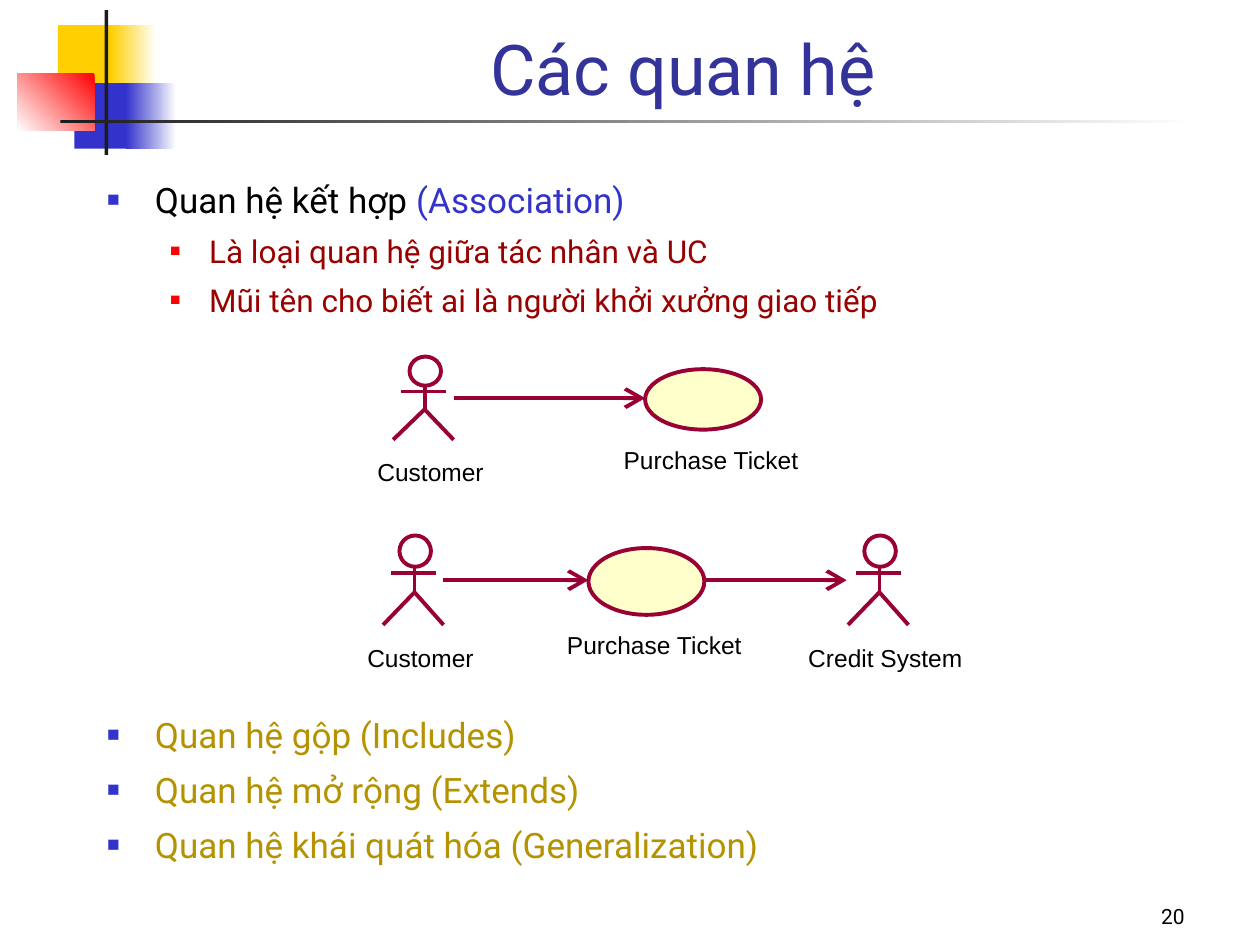
from dataclasses import dataclass

from lxml import etree
from pptx import Presentation
from pptx import util as u
from pptx.dml.color import RGBColor
from pptx.enum import shapes as kinds, text
from pptx.oxml.ns import qn

Inches, Pt = u.Inches, u.Pt


@dataclass(frozen=True)
class Theme:
    font: str = "Roboto"
    label_font: str = "Arial"
    title: str = "333399"
    ink: str = "000000"
    blue: str = "3333CC"
    red: str = "FF0000"
    yellow: str = "FFCF01"
    white: str = "FFFFFF"
    dark: str = "1C1C1C"
    detail: str = "990000"
    pending: str = "B49200"
    outline: str = "990033"
    use_case: str = "FFFFCC"
    title_size: int = 40
    topic_size: int = 20
    detail_size: int = 18
    label_size: int = 14
    number_size: int = 12
    stroke: float = 2.25


THEME = Theme()


def rgb(code):
    return RGBColor.from_string(code)


def set_font(font, name, size, colour):
    font.name, font.size, font.color.rgb = name, Pt(size), rgb(colour)


def place(shape, left, top, width, height):
    shape.left, shape.top = Inches(left), Inches(top)
    shape.width, shape.height = Inches(width), Inches(height)


def band(slide, box, colour, fade=None, angle=0):
    """Borderless rectangle, solid or fading from colour to fade."""
    shape = slide.shapes.add_shape(kinds.MSO_SHAPE.RECTANGLE, *map(Inches, box))
    shape.shadow.inherit = False
    shape.line.fill.background()
    if fade is None:
        shape.fill.solid()
        shape.fill.fore_color.rgb = rgb(colour)
        return
    shape.fill.gradient()
    shape.fill.gradient_angle = angle
    for stop, code in zip(shape.fill.gradient_stops, (colour, fade)):
        stop.color.rgb = rgb(code)


def ornament(slide, left, top):
    def part(x, y, width, height, *fill):
        band(slide, (left + x, top + y, width, height), *fill)

    part(0.32, 0.12, 0.48, 0.52, THEME.yellow)
    part(0.74, 0.12, 0.36, 0.52, THEME.yellow, THEME.white)
    part(0.45, 0.58, 0.46, 0.52, THEME.blue)
    part(0.86, 0.58, 0.4, 0.52, THEME.blue, THEME.white)
    part(0, 0.5, 0.61, 0.46, THEME.red, THEME.white, 225)
    part(0.69, 0, 0.03, 1.15, THEME.dark)
    part(0.34, 0.87, 9, 0.03, THEME.dark, THEME.white)


def heading(slide, wording, box):
    title = slide.shapes.title
    place(title, *box)
    frame = title.text_frame
    frame.auto_size = text.MSO_AUTO_SIZE.NONE
    frame.vertical_anchor = text.MSO_ANCHOR.BOTTOM
    paragraph = frame.paragraphs[0]
    paragraph.text = wording
    paragraph.alignment = text.PP_ALIGN.CENTER
    set_font(paragraph.font, THEME.font, THEME.title_size, THEME.title)


def add_bullet(paragraph, colour, percent, margin, hanging):
    props = paragraph._p.get_or_add_pPr()
    props.set("marL", str(Inches(margin)))
    props.set("indent", str(-Inches(hanging)))
    tint = etree.SubElement(props, qn("a:buClr"))
    etree.SubElement(tint, qn("a:srgbClr"), val=colour)
    etree.SubElement(props, qn("a:buSzPct"), val=str(percent * 1000))
    etree.SubElement(props, qn("a:buFont"), typeface=THEME.label_font)
    etree.SubElement(props, qn("a:buChar"), char="■")


def outline(slide, box, items):
    """Fill the body from (level, colour, space before, wordings) items."""
    body = slide.placeholders[1]
    place(body, *box)
    frame = body.text_frame
    frame.auto_size = text.MSO_AUTO_SIZE.NONE
    for index, (level, colour, before, wordings) in enumerate(items):
        paragraph = frame.add_paragraph() if index else frame.paragraphs[0]
        paragraph.level = level
        if level:
            add_bullet(paragraph, THEME.red, 55, 0.81, 0.31)
        else:
            add_bullet(paragraph, THEME.blue, 60, 0.38, 0.38)
        paragraph.line_spacing = 1.1
        paragraph.space_before = Pt(before)
        size = THEME.detail_size if level else THEME.topic_size
        set_font(paragraph.font, THEME.font, size, colour)
        for wording in wordings:
            paragraph.add_run().text = wording
    accent = frame.paragraphs[0].runs[1]
    accent.font.color.rgb = rgb(THEME.blue)


def stroke(shape):
    shape.line.color.rgb = rgb(THEME.outline)
    shape.line.width = Pt(THEME.stroke)


def segment(group, x1, y1, x2, y2, arrow=False):
    line = group.shapes.add_connector(
        kinds.MSO_CONNECTOR.STRAIGHT, *map(Inches, (x1, y1, x2, y2)))
    stroke(line)
    etree.SubElement(line._element.spPr, qn("a:effectLst"))
    if arrow:
        etree.SubElement(line.line._get_or_add_ln(), qn("a:tailEnd"),
                         type="arrow", w="lg", len="lg")


def oval(group, box, fill=None):
    shape = group.shapes.add_shape(kinds.MSO_SHAPE.OVAL, *map(Inches, box))
    shape.shadow.inherit = False
    stroke(shape)
    if fill:
        shape.fill.solid()
        shape.fill.fore_color.rgb = rgb(fill)
    else:
        shape.fill.background()


def label(group, wording, centre, top, width):
    box = group.shapes.add_textbox(
        *map(Inches, (centre - width / 2, top, width, 0.23)))
    frame = box.text_frame
    frame.margin_left = frame.margin_right = 0
    frame.margin_top = frame.margin_bottom = 0
    frame.word_wrap = False
    paragraph = frame.paragraphs[0]
    paragraph.text = wording
    set_font(paragraph.font, THEME.label_font, THEME.label_size, THEME.ink)


def actor(group, name, name_width, left, top, height):
    """Stick figure with its name below."""
    width, middle = 0.48, left + 0.25
    neck, arms, hips = (top + height * part for part in (0.35, 0.42, 0.635))
    foot = top + height
    oval(group, (left + 0.13, top, 0.25, neck - top))
    segment(group, middle, neck, middle, hips)
    segment(group, left + 0.06, arms, left + 0.42, arms)
    builder = group.shapes.build_freeform(Inches(left), Inches(foot))
    builder.add_line_segments(
        [(Inches(middle), Inches(hips)), (Inches(left + width), Inches(foot))],
        close=False)
    legs = builder.convert_to_shape()
    legs.shadow.inherit = False
    legs.fill.background()
    stroke(legs)
    label(group, name, left + 0.3, foot + 0.14, name_width)


def use_case(group, name, left, top, height):
    oval(group, (left, top, 0.92, height), THEME.use_case)
    label(group, name, left + 0.53, top + height + 0.12, 1.4)


def association(slide, left, top, figure, case_left, case_height, system_left=None):
    """Customer to use case, and on to the credit system if it has a place."""
    group = slide.shapes.add_group_shape()
    case, level = left + case_left, top + figure / 2
    actor(group, "Customer", 0.85, left, top, figure)
    use_case(group, "Purchase Ticket", case, top + 0.1, case_height)
    segment(group, left + 0.48, level, case, level, arrow=True)
    if system_left:
        system = left + system_left
        actor(group, "Credit System", 1.23, system, top, figure)
        segment(group, case + 0.92, level, system - 0.01, level, arrow=True)


def page_number(slide, number, box):
    frame = slide.shapes.add_textbox(*map(Inches, box)).text_frame
    frame.word_wrap = True
    frame.vertical_anchor = text.MSO_ANCHOR.BOTTOM
    paragraph = frame.paragraphs[0]
    paragraph.text = number
    paragraph.alignment = text.PP_ALIGN.RIGHT
    set_font(paragraph.font, THEME.font, THEME.number_size, THEME.ink)


def main():
    deck = Presentation()
    deck.slide_width, deck.slide_height = Inches(10), Inches(7.5)
    slide = deck.slides.add_slide(deck.slide_layouts[1])
    ornament(slide, 0.14, 0.08)
    heading(slide, "Các quan hệ", (1.26, 0.08, 8.32, 0.84))
    outline(slide, (0.75, 1.33, 9.04, 5.75), [
        (0, THEME.ink, 0, ["Quan hệ kết hợp ", "(Association)"]),
        (1, THEME.detail, 4.5, ["Là loại quan hệ giữa tác nhân và UC"]),
        (1, THEME.detail, 4.5, ["Mũi tên cho biết ai là người khởi xưởng giao tiếp"]),
        (0, THEME.pending, 223, ["Quan hệ gộp (Includes)"]),
        (0, THEME.pending, 5, ["Quan hệ mở rộng (Extends)"]),
        (0, THEME.pending, 5, ["Quan hệ khái quát hóa (Generalization)"]),
    ])
    association(slide, 3.12, 2.83, 0.66, 2, 0.48)
    association(slide, 3.04, 4.25, 0.71, 1.63, 0.53, system_left=3.69)
    page_number(slide, "20", (7.42, 6.92, 2.08, 0.5))
    deck.save("out.pptx")


if __name__ == "__main__":
    main()
